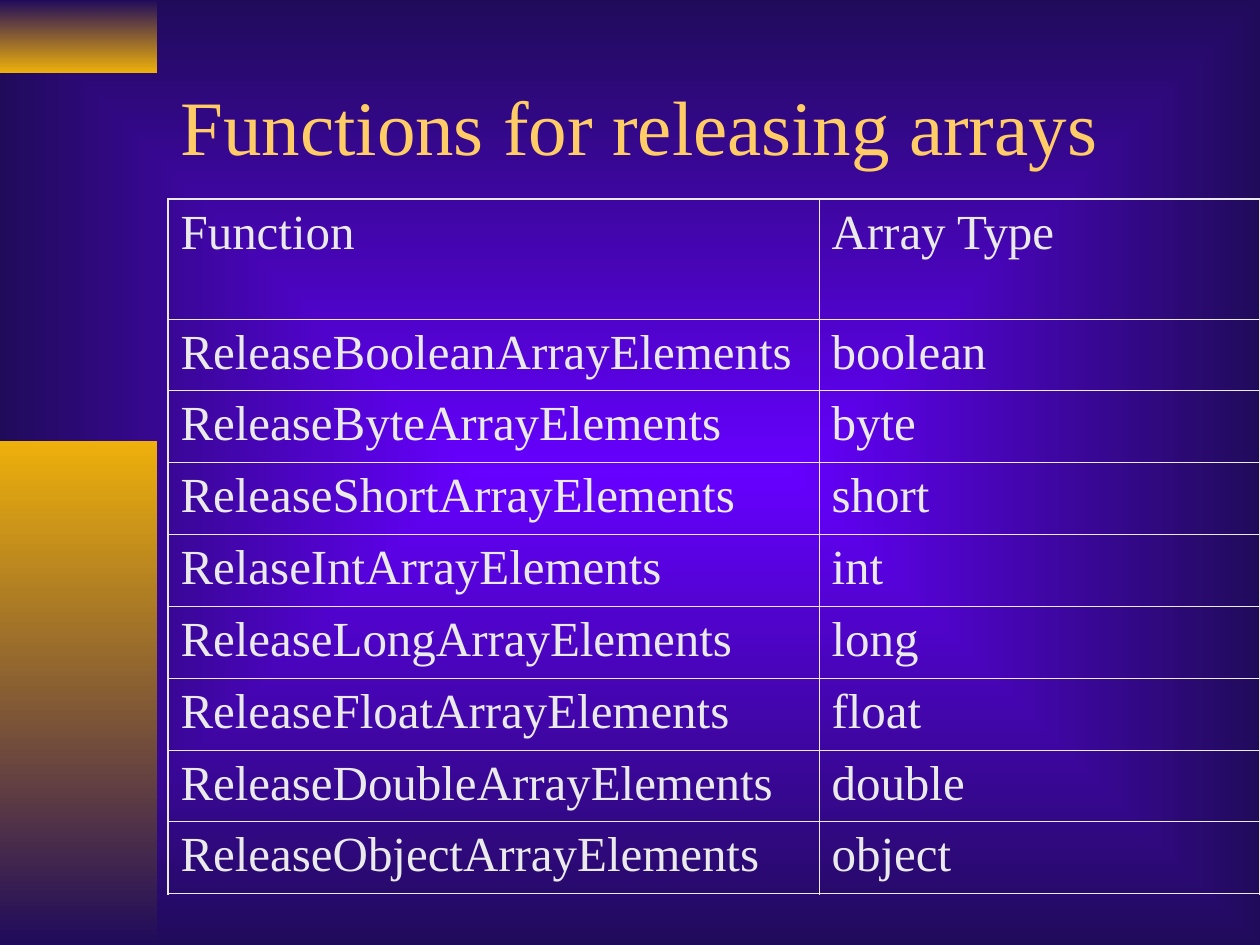
from lxml.etree import SubElement
from pptx import Presentation
from pptx.dml.color import RGBColor
from pptx.enum.shapes import MSO_SHAPE as Shape
from pptx.enum.text import MSO_ANCHOR as Anchor
from pptx.oxml.ns import qn
from pptx.util import Emu, Pt

PX = 914400 / 126
NAVY, VIOLET, GOLD = "200B5B", "6600FF", "EEB00B"
TITLE_FONT = {"name": "Times New Roman", "size": Pt(44)}
CELL_FONT = {"name": "Times New Roman", "size": Pt(28)}
TITLE_COLOR, CELL_COLOR = "FFCC66", "EAEAEA"
OUTER_LINE, INNER_LINE = Pt(1.08), Pt(0.45)

RELEASE_FUNCTIONS = [
    ("Function", "Array Type"),
    ("ReleaseBooleanArrayElements", "boolean"),
    ("ReleaseByteArrayElements", "byte"),
    ("ReleaseShortArrayElements", "short"),
    ("RelaseIntArrayElements", "int"),
    ("ReleaseLongArrayElements", "long"),
    ("ReleaseFloatArrayElements", "float"),
    ("ReleaseDoubleArrayElements", "double"),
    ("ReleaseObjectArrayElements", "object"),
]


def px(length):
    return Emu(round(length * PX))


def rgb(color):
    return RGBColor.from_string(color)


def set_gradient(fill, start, end):
    """Blend from start at the top to end at the bottom."""
    fill.gradient()
    fill.gradient_angle = 270
    for stop, color in zip(fill.gradient_stops, (start, end)):
        stop.color.rgb = rgb(color)


def write_line(text_frame, text, font_format, color):
    paragraph = text_frame.paragraphs[0]
    run = paragraph.add_run()
    run.text = text
    for attribute, value in font_format.items():
        setattr(run.font, attribute, value)
    run.font.color.rgb = rgb(color)


def paint_background(slide):
    """Radiate from violet in the centre to navy at the edges."""
    set_gradient(slide.background.fill, VIOLET, NAVY)
    linear = slide.element.find(".//" + qn("a:lin"))
    gradient = linear.getparent()
    gradient.remove(linear)
    radial = SubElement(gradient, qn("a:path"), path="rect")
    SubElement(radial, qn("a:fillToRect"),
               {side: "50000" for side in "ltrb"})


def add_side_bands(slide, left, top, width, height):
    """Place a short band at the top and a long one at the bottom."""
    short, long = 73, 504
    for y, band_height, colors in (
        (top, short, (NAVY, GOLD)),
        (top + height - long, long, (GOLD, NAVY)),
    ):
        band = slide.shapes.add_shape(
            Shape.RECTANGLE, px(left), px(y), px(width), px(band_height))
        band.shadow.inherit = False
        band.line.fill.background()
        set_gradient(band.fill, *colors)


def add_title(slide, left, top, width, height):
    title = slide.shapes.add_textbox(px(left), px(top), px(width), px(height))
    frame = title.text_frame
    frame.word_wrap = True
    frame.vertical_anchor = Anchor.MIDDLE
    write_line(frame, "Functions for releasing arrays", TITLE_FONT, TITLE_COLOR)


def set_borders(cell, outer_sides):
    properties = cell._tc.get_or_add_tcPr()
    for side in "LRTB":
        width = OUTER_LINE if side in outer_sides else INNER_LINE
        border = SubElement(properties, qn(f"a:ln{side}"), w=str(width))
        paint = SubElement(border, qn("a:solidFill"))
        SubElement(paint, qn("a:srgbClr"), val=CELL_COLOR)


def add_function_table(slide, left, top, width, height):
    header_height, function_width = 120, 651
    last_row = len(RELEASE_FUNCTIONS) - 1
    table = slide.shapes.add_table(
        last_row + 1, 2, px(left), px(top), px(width), px(height)).table
    table.first_row = table.horz_banding = False
    table.columns[0].width = px(function_width)
    table.columns[1].width = px(width - function_width)

    for r, entries in enumerate(RELEASE_FUNCTIONS):
        table.rows[r].height = px(
            (height - header_height) / last_row if r else header_height)
        row_edges = {0: "T", last_row: "B"}.get(r, "")
        for c, text in enumerate(entries):
            cell = table.cell(r, c)
            set_borders(cell, row_edges + "LR"[c])
            cell.fill.background()
            write_line(cell.text_frame, text, CELL_FONT, CELL_COLOR)


def main():
    deck = Presentation()
    deck.slide_width, deck.slide_height = px(1260), px(945)
    slide = deck.slides.add_slide(deck.slide_layouts[6])
    paint_background(slide)
    add_side_bands(slide, 0, 0, 157, 945)
    add_title(slide, 168, 42, 1071, 166)
    add_function_table(slide, 168, 199, 1092, 695)
    deck.save("out.pptx")


if __name__ == "__main__":
    main()
